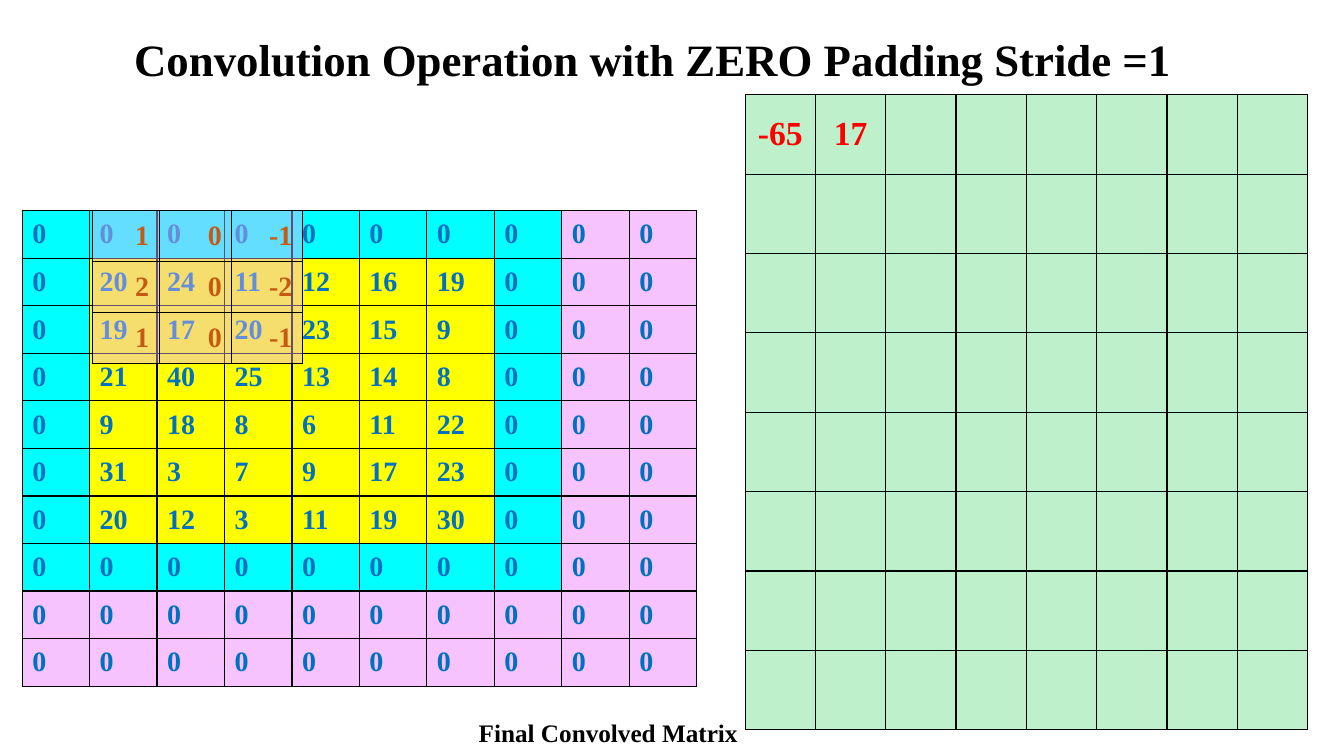
import pptx
import pptx.dml.color
import pptx.enum.text
import pptx.oxml
import pptx.oxml.ns
import pptx.util
from lxml import etree

Inches = pptx.util.Inches
ALIGN = pptx.enum.text.PP_ALIGN
ANCHOR = pptx.enum.text.MSO_ANCHOR

COLORS = {
    "text": "000000",
    "border": "000000",
    "number": "0070C0",
    "weight": "C55A11",
    "result": "FF0000",
    "image": "FFFF00",
    "padding": "00FFFF",
    "outer": "F6C3FF",
    "kernel": "E8B4FF",
    "output": "6BDE8A",
}

IMAGE = [
    [20, 24, 11, 12, 16, 19],
    [19, 17, 20, 23, 15, 9],
    [21, 40, 25, 13, 14, 8],
    [9, 18, 8, 6, 11, 22],
    [31, 3, 7, 9, 17, 23],
    [20, 12, 3, 11, 19, 30],
]
KERNEL = [[1, 0, -1], [2, 0, -2], [1, 0, -1]]
RESULTS = [-65, 17]
PADDED_SIZE = 10
OUTPUT_SIZE = 8


class Deck:
    font = "Times New Roman"

    def __init__(self):
        self.prs = pptx.Presentation()
        self.prs.slide_width = Inches(13.33)
        self.prs.slide_height = Inches(7.5)
        self.s = self.prs.slides.add_slide(self.prs.slide_layouts[5])

    def run(self, p, text, size, color, align=ALIGN.LEFT):
        p.alignment = align
        r = p.add_run()
        r.text = str(text)
        r.font.name = self.font
        r.font.size = pptx.util.Pt(size)
        r.font.bold = True
        r.font.color.rgb = pptx.dml.color.RGBColor.from_string(COLORS[color])

    def title(self, text, left, top, width, height):
        sp = self.s.shapes.title
        self.place(sp, left, top, width, height)
        sp.text_frame.vertical_anchor = ANCHOR.TOP
        self.run(sp.text_frame.paragraphs[0], text, 32, "text")

    def label(self, text, left, top, width, height):
        sp = self.s.shapes.add_textbox(0, 0, 0, 0)
        self.place(sp, left, top, width, height)
        self.run(sp.text_frame.paragraphs[0], text, 18, "text")

    def place(self, sp, left, top, width, height):
        sp.left, sp.top = Inches(left), Inches(top)
        sp.width, sp.height = Inches(width), Inches(height)
        tf = sp.text_frame
        tf.word_wrap = True
        tf.auto_size = pptx.enum.text.MSO_AUTO_SIZE.NONE

    def table(self, left, top, widths, height, values, fills, size, color, align, alpha=100):
        rows, cols = len(values), len(widths)
        frame = self.s.shapes.add_table(
            rows, cols, Inches(left), Inches(top), Inches(sum(widths)), Inches(height))
        table = frame.table
        table.first_row = table.horz_banding = False
        for column, width in zip(table.columns, widths):
            column.width = Inches(width)
        for i, row in enumerate(table.rows):
            row.height = Inches(height / rows)
            for j, cell in enumerate(row.cells):
                cell.vertical_anchor = ANCHOR.MIDDLE
                self.fill(cell, fills[i][j], alpha)
                self.borders(cell)
                if values[i][j] is not None:
                    self.run(cell.text_frame.paragraphs[0], values[i][j], size, color, align)

    def fill(self, cell, color, alpha):
        cell.fill.solid()
        cell.fill.fore_color.rgb = pptx.dml.color.RGBColor.from_string(COLORS[color])
        if alpha < 100:
            rgb = cell._tc.tcPr.find(".//" + pptx.oxml.ns.qn("a:srgbClr"))
            etree.SubElement(rgb, pptx.oxml.ns.qn("a:alpha"), val=str(alpha * 1000))

    def borders(self, cell):
        for k, side in enumerate("LRTB"):
            line = pptx.oxml.parse_xml(
                f'<a:ln{side} {pptx.oxml.ns.nsdecls("a")} w="12700"><a:solidFill>'
                f'<a:srgbClr val="{COLORS["border"]}"/></a:solidFill></a:ln{side}>')
            cell._tc.tcPr.insert(k, line)


def padded_matrix():
    values = [[0] * PADDED_SIZE for _ in range(PADDED_SIZE)]
    fills = [["outer"] * PADDED_SIZE for _ in range(PADDED_SIZE)]
    n = len(IMAGE)
    for i in range(n + 2):
        fills[i][:n + 2] = ["padding"] * (n + 2)
    for i, row in enumerate(IMAGE, 1):
        values[i][1:n + 1] = row
        fills[i][1:n + 1] = ["image"] * n
    return values, fills


def main():
    deck = Deck()
    deck.title("Convolution Operation with ZERO Padding Stride =1", 1.23, 0.26, 10.88, 0.64)

    values, fills = padded_matrix()
    deck.table(0.22, 2.09, [6.69 / PADDED_SIZE] * PADDED_SIZE, 4.72,
               values, fills, 20, "number", ALIGN.LEFT)

    deck.table(0.92, 2.09, [0.66, 0.72, 0.7], 1.52,
               KERNEL, [["kernel"] * 3] * 3, 20, "weight", ALIGN.RIGHT, alpha=43)

    output = [[None] * OUTPUT_SIZE for _ in range(OUTPUT_SIZE)]
    output[0][:len(RESULTS)] = RESULTS
    deck.table(7.39, 0.94, [5.58 / OUTPUT_SIZE] * OUTPUT_SIZE, 6.3,
               output, [["output"] * OUTPUT_SIZE] * OUTPUT_SIZE,
               24, "result", ALIGN.CENTER, alpha=43)

    deck.label("Final Convolved Matrix", 4.65, 7.07, 2.83, 0.4)
    deck.prs.save("out.pptx")


if __name__ == "__main__":
    main()
